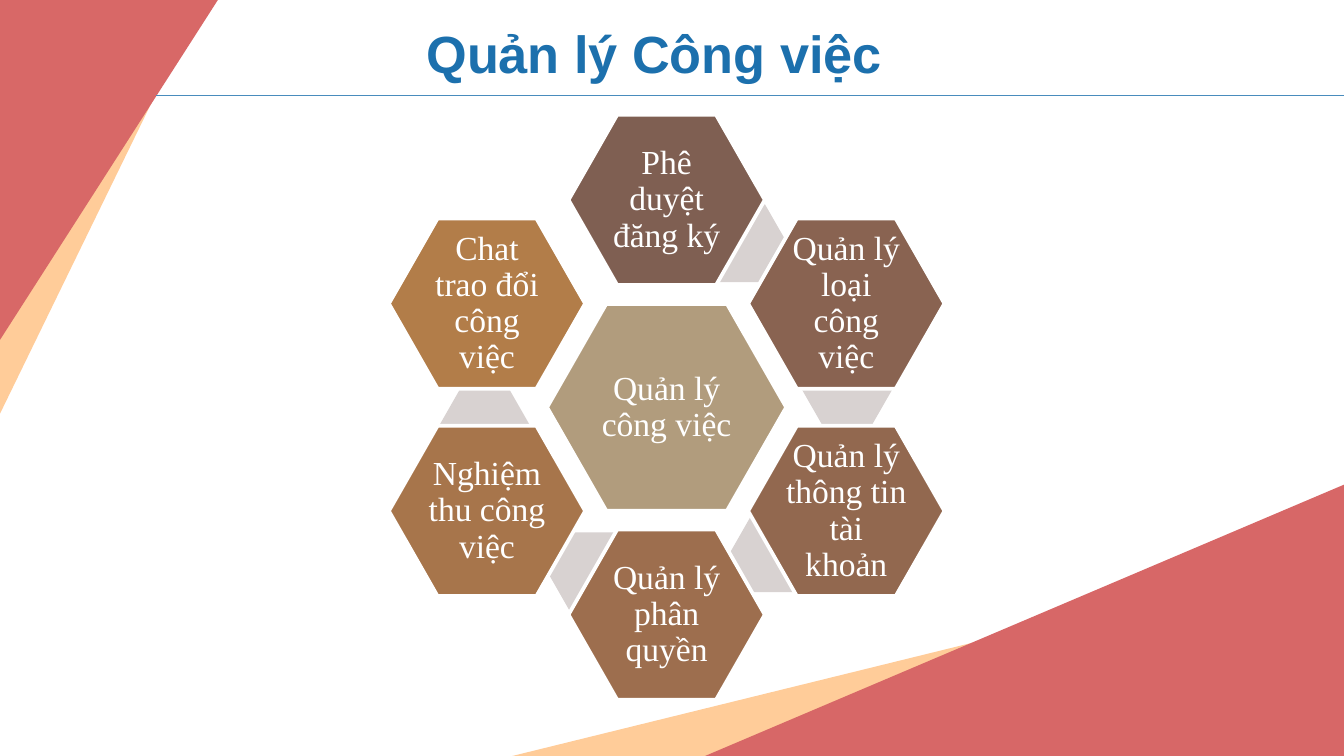
from math import cos, radians, sin

from lxml.etree import SubElement
from pptx import Presentation
from pptx.dml.color import RGBColor
from pptx.enum.shapes import MSO_CONNECTOR as Connector, MSO_SHAPE as Shape
from pptx.enum.text import MSO_ANCHOR as Anchor, MSO_AUTO_SIZE as AutoSize, PP_ALIGN as Align
from pptx.oxml.ns import qn
from pptx.util import Cm, Pt

COLORS = {
    "white": "FFFFFF", "peach": "FFCC99", "coral": "D86867", "rose": "D76767",
    "rule": "498CBD", "title": "1C70AD", "hub": "B19C7D", "link": "D8D2D1",
    "approve": "7F5F52", "type": "896351", "account": "92684F",
    "rights": "9D6E4E", "accept": "A7754B", "chat": "B27D49",
}
TRIANGLES = [
    ("peach", [(25.65, 10.36), (9.32, 14.38), (25.65, 14.61)]),
    ("peach", [(3.91, -0.2), (-0.2, -0.33), (-0.15, 8.13)]),
    ("coral", [(-0.13, 6.63), (-0.18, -0.1), (4.17, -0.08)]),
    ("rose", [(12.95, 14.45), (25.5, 9.12), (25.53, 14.48)]),
]
TOPICS = [
    ("Phê duyệt đăng ký", "approve"),
    ("Quản lý loại công việc", "type"),
    ("Quản lý thông tin tài khoản", "account"),
    ("Quản lý phân quyền", "rights"),
    ("Nghiệm thu công việc", "accept"),
    ("Chat trao đổi công việc", "chat"),
]
LINK_CENTERS = [(14.03, 4.6), (16.01, 7.37), (14.64, 10.46), (11.19, 10.8), (9.16, 8.03)]
HUB_CENTER = (12.6, 7.7)
HUB_SIZE, TOPIC_SIZE, LINK_SIZE = (4.52, 3.91), (3.71, 3.22), (1.7, 1.47)
RING_RADIUS = 3.92
TITLE_FONT = {"name": "Arial", "size": Pt(28), "bold": True}
TOPIC_FONT = {"name": "Times New Roman", "size": Pt(18)}
TOPIC_FRAME = {
    "word_wrap": True, "vertical_anchor": Anchor.MIDDLE,
    "margin_left": Cm(0.08), "margin_right": Cm(0.08),
    "margin_top": Cm(0.08), "margin_bottom": Cm(0.08),
}
TITLE_FRAME = {"word_wrap": True, "auto_size": AutoSize.SHAPE_TO_FIT_TEXT}


def rgb(name):
    """Return the named colour."""
    return RGBColor.from_string(COLORS[name])


def apply_format(target, values):
    """Set each attribute of the target from a dict."""
    for name, value in values.items():
        setattr(target, name, value)


def paint(shape, color):
    """Give a shape a solid fill without line or shadow."""
    shape.shadow.inherit = False
    shape.fill.solid()
    shape.fill.fore_color.rgb = rgb(color)
    shape.line.fill.background()


def write(shape, text, color, font, frame, line_spacing=1.0):
    """Write one centred paragraph into a shape."""
    apply_format(shape.text_frame, frame)
    paragraph = shape.text_frame.paragraphs[0]
    apply_format(paragraph, {"alignment": Align.CENTER, "line_spacing": line_spacing})
    run = paragraph.add_run()
    run.text = text
    apply_format(run.font, font)
    run.font.color.rgb = rgb(color)


def add_triangle(slide, color, points):
    """Draw a filled corner triangle."""
    start, *others = [(Cm(x), Cm(y)) for x, y in points]
    builder = slide.shapes.build_freeform(*start)
    builder.add_line_segments(others, close=True)
    paint(builder.convert_to_shape(), color)


def add_rule(slide, left, right, top):
    """Draw the thin line below the title."""
    rule = slide.shapes.add_connector(Connector.STRAIGHT, Cm(left), Cm(top), Cm(right), Cm(top))
    rule.line.color.rgb = rgb("rule")
    rule.line.width = Pt(0.75)
    SubElement(rule._element.spPr, qn("a:effectLst"))


def add_title(slide, text):
    """Add the slide title."""
    box = slide.shapes.add_textbox(Cm(3.56), Cm(0.28), Cm(17.88), Cm(1.45))
    write(box, text, "title", TITLE_FONT, TITLE_FRAME)


def add_hexagon(slide, center, size, color):
    """Draw a plain hexagon around a centre point."""
    (x, y), (width, height) = center, size
    hexagon = slide.shapes.add_shape(
        Shape.HEXAGON, Cm(x - width / 2), Cm(y - height / 2), Cm(width), Cm(height))
    hexagon.adjustments[0] = 0.286
    paint(hexagon, color)
    return hexagon


def add_topic(slide, center, size, text, color):
    """Draw a white-edged hexagon with its label."""
    hexagon = add_hexagon(slide, center, size, color)
    hexagon.line.color.rgb = rgb("white")
    hexagon.line.width = Pt(2)
    write(hexagon, text, "white", TOPIC_FONT, TOPIC_FRAME, 0.9)


def ring_center(index):
    """Return the centre of a topic, clockwise from the top."""
    angle = radians(index * 360 / len(TOPICS))
    x, y = HUB_CENTER
    return x + RING_RADIUS * sin(angle), y - RING_RADIUS * cos(angle)


def main():
    """Build and save the slide."""
    presentation = Presentation()
    apply_format(presentation, {"slide_width": Cm(25.4), "slide_height": Cm(14.29)})
    slide = presentation.slides.add_slide(presentation.slide_layouts[6])
    for color, points in TRIANGLES:
        add_triangle(slide, color, points)
    add_rule(slide, 2.95, 25.4, 1.8)
    add_title(slide, "Quản lý Công việc ")
    for center in LINK_CENTERS:
        add_hexagon(slide, center, LINK_SIZE, "link")
    add_topic(slide, HUB_CENTER, HUB_SIZE, "Quản lý công việc", "hub")
    for index, (text, color) in enumerate(TOPICS):
        add_topic(slide, ring_center(index), TOPIC_SIZE, text, color)
    presentation.save("out.pptx")


if __name__ == "__main__":
    main()
